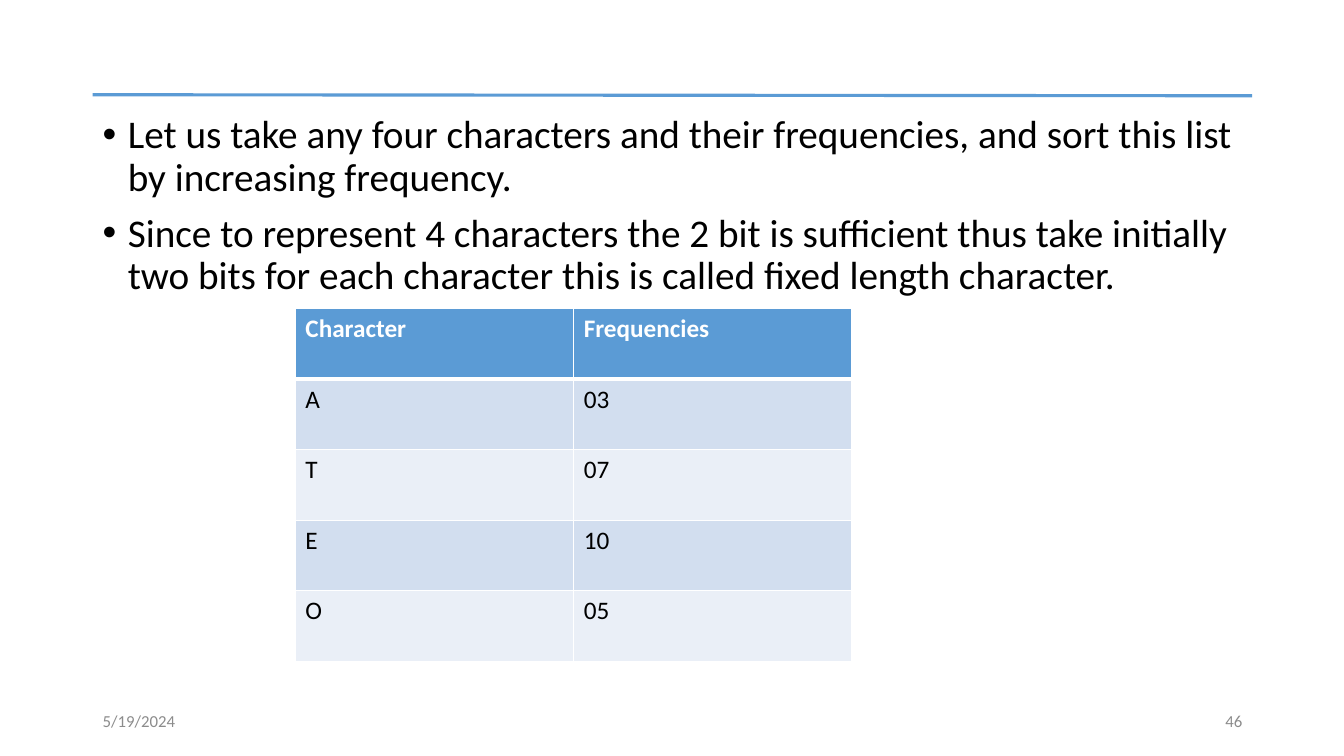
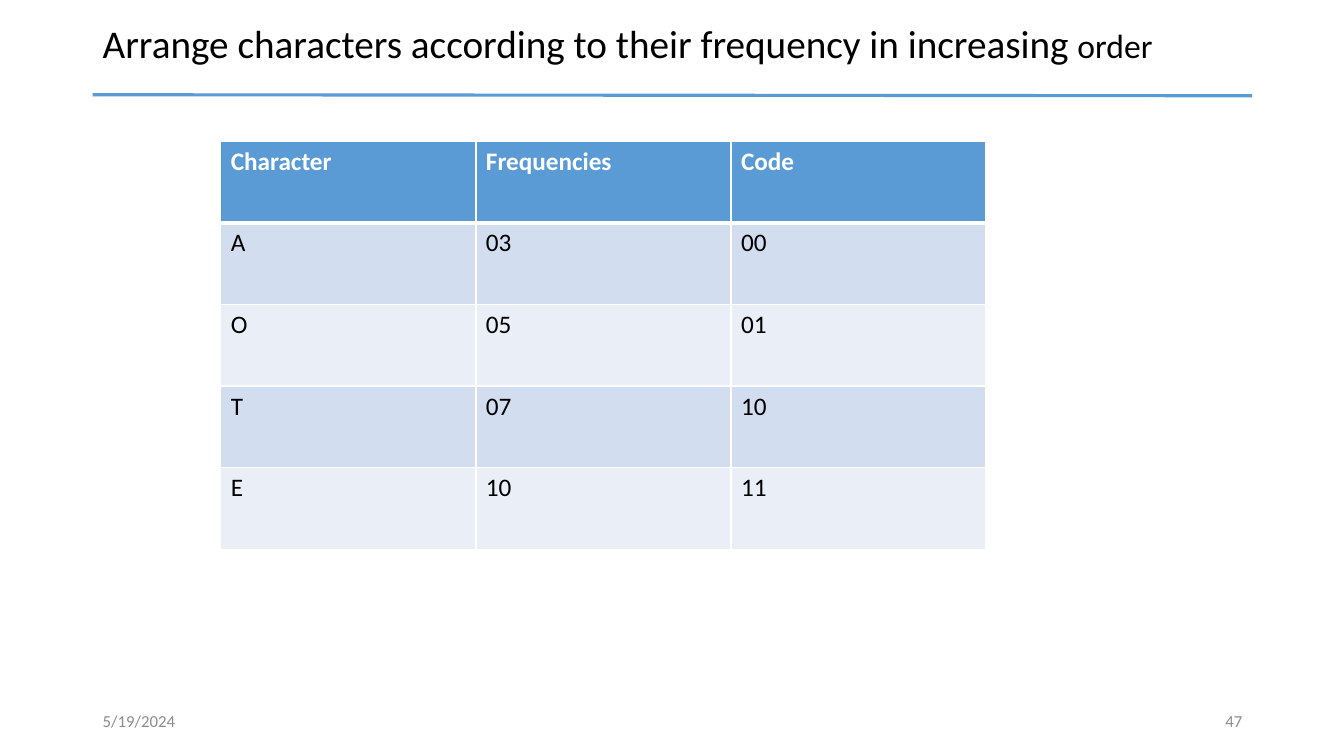
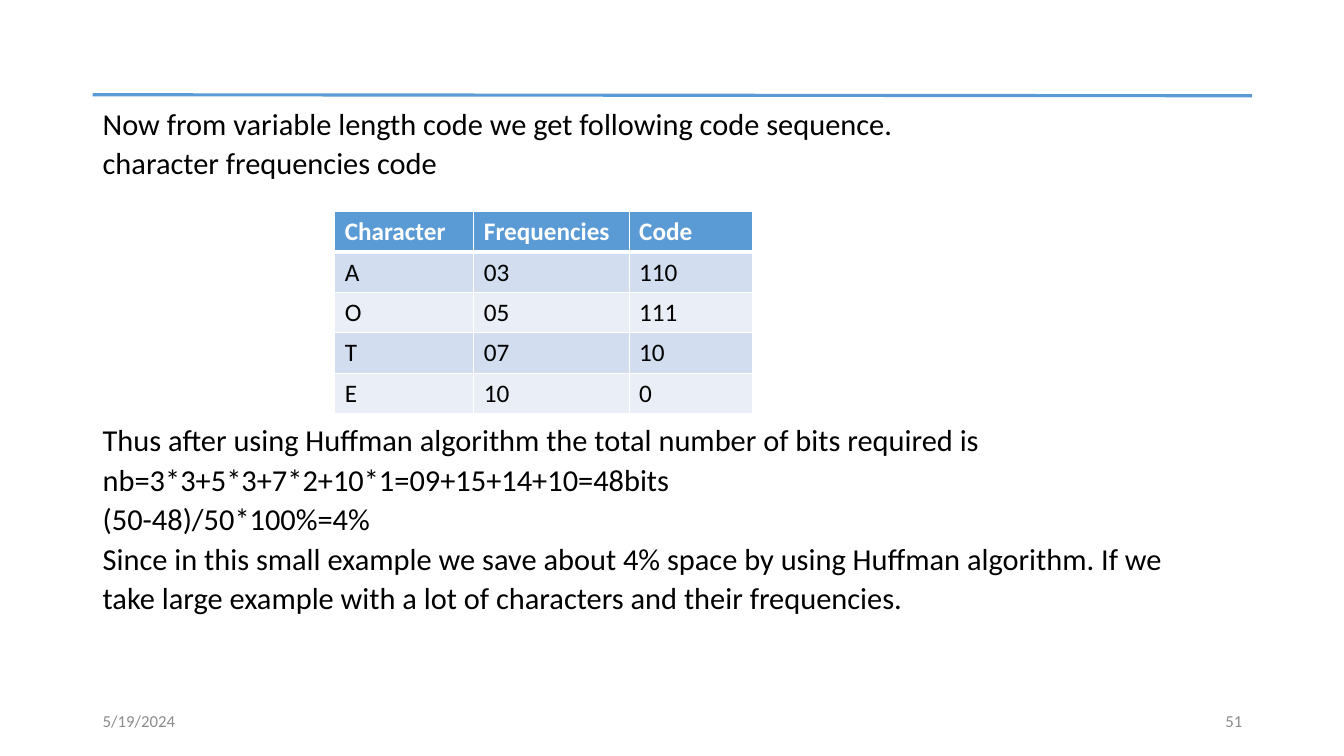
from dataclasses import dataclass

from lxml.etree import SubElement
from pptx import Presentation
from pptx.dml.color import RGBColor
from pptx.enum.shapes import MSO_CONNECTOR as Connector
from pptx.enum.text import MSO_ANCHOR as Anchor, PP_ALIGN as Align
from pptx.oxml.ns import qn
from pptx.util import Inches, Pt


@dataclass(frozen=True)
class Theme:
    font: str = "Calibri"
    accent: str = "5B9BD5"
    bands: tuple = ("D2DEEF", "EAEFF7")
    ink: str = "000000"
    paper: str = "FFFFFF"
    muted: str = "8C8C8C"
    large: float = 28
    title_small: float = 24
    compact: float = 21.7
    table: float = 18
    footer: float = 12


class Deck:
    LEFT, WIDTH = 0.92, 11.5
    BODY_TOP, BODY_HEIGHT = 1.09, 5.58

    def __init__(self, theme):
        self.theme = theme
        self.prs = Presentation()
        self.prs.slide_width = Inches(13.33)
        self.prs.slide_height = Inches(7.5)
        self.s = None

    def slide(self, number):
        """Start a slide with the shared rule, date and page number."""
        self.s = self.prs.slides.add_slide(self.prs.slide_layouts[6])
        right = self.LEFT + self.WIDTH
        self.rule(self.LEFT, 0.94, right, 0.95)
        self.footer("5/19/2024", self.LEFT, Align.LEFT)
        self.footer(str(number), right - 3, Align.RIGHT)

    def rule(self, x1, y1, x2, y2):
        line = self.s.shapes.add_connector(
            Connector.STRAIGHT, Inches(x1), Inches(y1), Inches(x2), Inches(y2))
        line.line.color.rgb = RGBColor.from_string(self.theme.accent)
        line.line.width = Pt(2.25)
        SubElement(line._element.spPr, qn("a:effectLst"))

    def style(self, r, size, color, bold=False):
        r.font.name = self.theme.font
        r.font.size = Pt(size)
        r.font.bold = bold
        r.font.color.rgb = RGBColor.from_string(color)

    def text(self, lines, x, y, w, h, size, color=None, anchor=Anchor.TOP):
        sp = self.s.shapes.add_textbox(Inches(x), Inches(y), Inches(w), Inches(h))
        tf = sp.text_frame
        tf.word_wrap = True
        tf.vertical_anchor = anchor
        tf.text = "\n".join(lines)
        for p in tf.paragraphs:
            self.style(p.runs[0], size, color or self.theme.ink)
        return tf

    def footer(self, label, x, align):
        tf = self.text([label], x, 6.95, 3, 0.4, self.theme.footer,
                       self.theme.muted, Anchor.MIDDLE)
        tf.paragraphs[0].alignment = align

    def title(self, main, small):
        """Add a title that ends in a smaller word."""
        tf = self.text([main], self.LEFT, 0.11, self.WIDTH, 0.69,
                       self.theme.large, anchor=Anchor.MIDDLE)
        p = tf.paragraphs[0]
        p.line_spacing = 0.9
        r = p.add_run()
        r.text = small
        self.style(r, self.theme.title_small, self.theme.ink)

    def body(self, lines, size, spacing, y=BODY_TOP, h=BODY_HEIGHT):
        tf = self.text(lines, self.LEFT, y, self.WIDTH, h, size)
        for p in tf.paragraphs:
            p.line_spacing = spacing
            p.space_before = Pt(10)
        return tf

    def bullets(self, lines):
        for p in self.body(lines, self.theme.large, 0.9).paragraphs:
            pPr = p._p.get_or_add_pPr()
            pPr.set("marL", str(Inches(0.25)))
            pPr.set("indent", str(-Inches(0.25)))
            SubElement(pPr, qn("a:buFont"), typeface="Arial")
            SubElement(pPr, qn("a:buChar"), char="•")

    def borders(self, cell, top, bottom):
        tcPr = cell._tc.get_or_add_tcPr()
        for side, width in (("L", 1), ("R", 1), ("T", top), ("B", bottom)):
            ln = SubElement(tcPr, qn(f"a:ln{side}"), w=str(Pt(width)))
            fill = SubElement(ln, qn("a:solidFill"))
            SubElement(fill, qn("a:srgbClr"), val=self.theme.paper)

    def table(self, rows, x, y, col_widths, row_height):
        t = self.theme
        table = self.s.shapes.add_table(
            len(rows), len(col_widths), Inches(x), Inches(y),
            Inches(sum(col_widths)), Inches(row_height * len(rows))).table
        for column, width in zip(table.columns, col_widths):
            column.width = Inches(width)
        for i, row in enumerate(rows):
            table.rows[i].height = Inches(row_height)
            header = i == 0
            for j, value in enumerate(row):
                cell = table.cell(i, j)
                cell.text = value
                self.style(cell.text_frame.paragraphs[0].runs[0], t.table,
                           t.paper if header else t.ink, header)
                self.borders(cell, 3 if i == 1 else 1, 3 if header else 1)
                cell.fill.solid()
                cell.fill.fore_color.rgb = RGBColor.from_string(
                    t.accent if header else t.bands[(i - 1) % 2])


def frequency_slide(deck):
    deck.slide(46)
    deck.bullets([
        "Let us take any four characters and their frequencies, and sort this "
        "list by increasing frequency.",
        "Since to represent 4 characters the 2 bit is sufficient thus take "
        "initially two bits for each character this is called fixed length "
        "character.",
    ])
    deck.table([("Character", "Frequencies"), ("A", "03"), ("T", "07"),
                ("E", "10"), ("O", "05")], 2.93, 3.06, [2.76] * 2, 0.7)


def coded_rows(codes):
    """Rows in increasing frequency, each with its code."""
    ranked = (("A", "03"), ("O", "05"), ("T", "07"), ("E", "10"))
    return [("Character", "Frequencies", "Code")] + [
        (*pair, code) for pair, code in zip(ranked, codes)]


def fixed_code_slide(deck):
    deck.slide(47)
    deck.title("Arrange characters according to their frequency in increasing ",
               "order")
    deck.table(coded_rows(("00", "01", "10", "11")), 2.19, 1.4, [2.53] * 3, 0.81)


def variable_code_slide(deck):
    deck.slide(51)
    size = deck.theme.compact
    deck.body(["Now from variable length code we get following code sequence.",
               "character frequencies code"], size, 0.7, h=0.9)
    deck.table(coded_rows(("110", "111", "10", "0")), 3.32, 2.1,
               [1.38, 1.54, 1.22], 0.4)
    deck.body([
        "Thus after using Huffman algorithm the total number of bits required is",
        "nb=3*3+5*3+7*2+10*1=09+15+14+10=48bits",
        "(50-48)/50*100%=4%",
        "Since in this small example we save about 4% space by using Huffman "
        "algorithm. If we",
        "take large example with a lot of characters and their frequencies.",
    ], size, 0.7, y=4.23, h=2.44)


def main():
    deck = Deck(Theme())
    frequency_slide(deck)
    fixed_code_slide(deck)
    variable_code_slide(deck)
    deck.prs.save("out.pptx")


if __name__ == "__main__":
    main()
